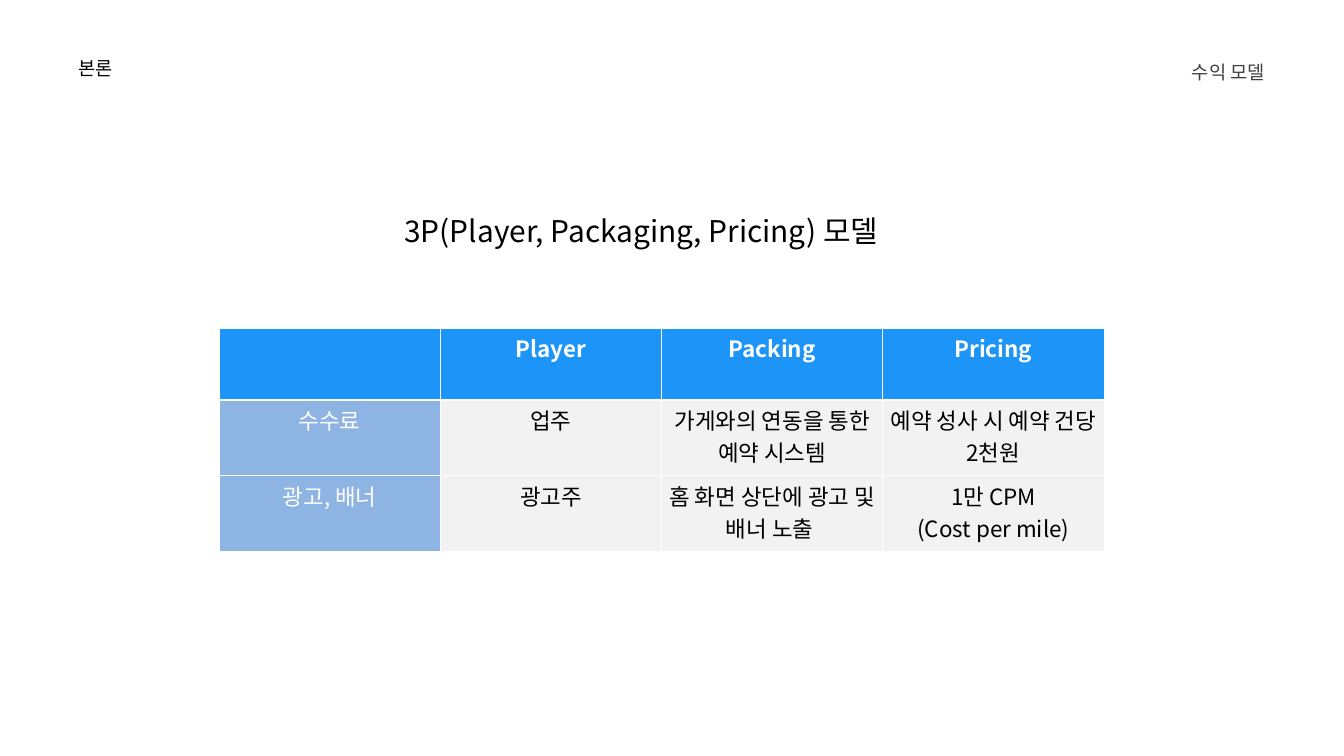
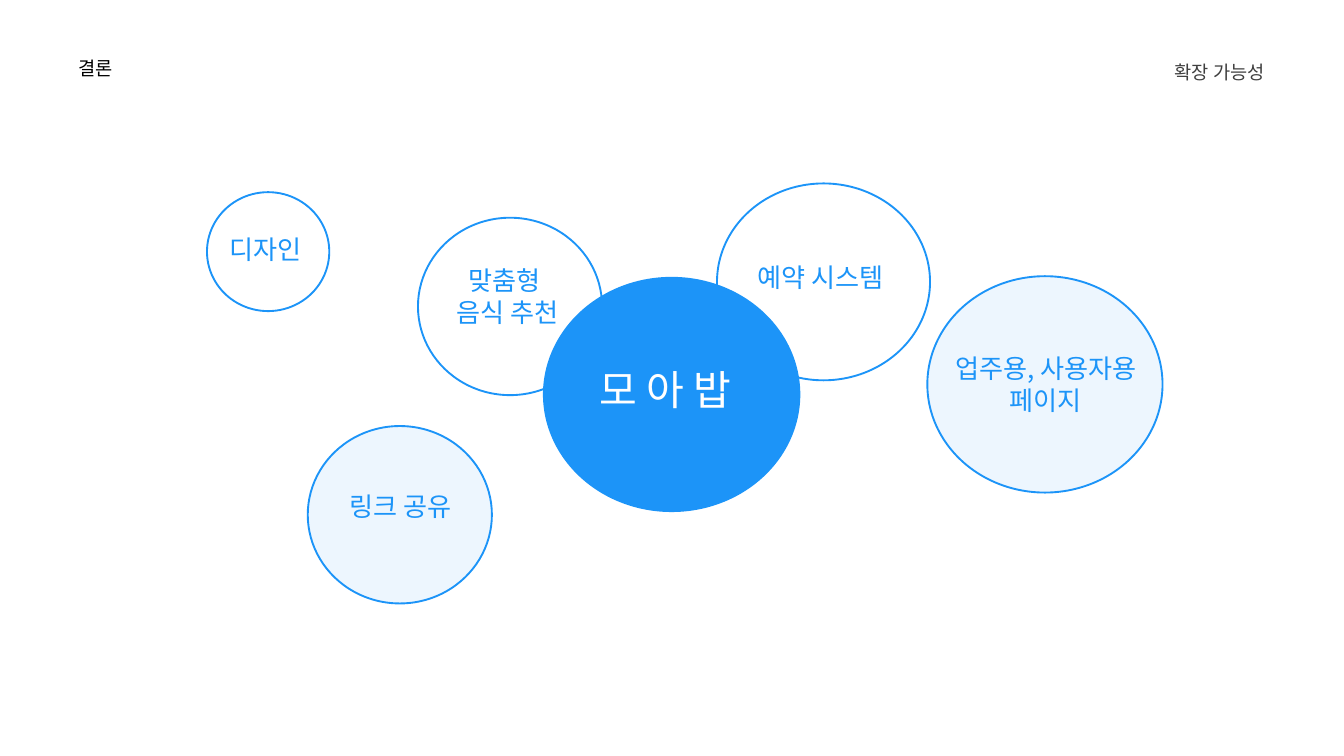
"""Build two slides: a revenue model table and a map of possible extensions."""
import lxml.etree
import pptx
import pptx.dml.color
import pptx.enum.shapes
import pptx.enum.text
import pptx.oxml.ns
import pptx.util

PX = 9144
FONT = "Noto Sans CJK KR"
COLORS = {
    "blue": "1C94F8",
    "soft_blue": "8EB4E3",
    "gray": "F2F2F2",
    "dark": "3F3F3F",
    "black": "000000",
    "white": "FFFFFF",
}
ALIGN = pptx.enum.text.PP_ALIGN
qn = pptx.oxml.ns.qn


def px(*lengths):
    return [length * PX for length in lengths]


def rgb(name):
    return pptx.dml.color.RGBColor.from_string(COLORS[name])


def write(frame, text, size=28, color="blue", bold=False, align=ALIGN.LEFT):
    for index, line in enumerate(text.split("\n")):
        paragraph = frame.add_paragraph() if index else frame.paragraphs[0]
        paragraph.alignment = align
        run = paragraph.add_run()
        run.text = line
        run.font.name = FONT
        run.font.size = pptx.util.Pt(size)
        run.font.bold = bold
        run.font.color.rgb = rgb(color)
        properties = run._r.get_or_add_rPr()
        lxml.etree.SubElement(properties, qn("a:ea"), typeface=FONT)


def add_text(slide, box, text, **style):
    frame = slide.shapes.add_textbox(*px(*box)).text_frame
    frame.word_wrap = True
    frame.auto_size = pptx.enum.text.MSO_AUTO_SIZE.SHAPE_TO_FIT_TEXT
    write(frame, text, **style)


def add_header(slide, section, topic):
    add_text(slide, (107, 79, 332, 44), section, size=20, color="black")
    add_text(slide, (1407, 85, 485, 44), topic, size=20, color="dark", align=ALIGN.RIGHT)


def add_circle(slide, box, opacity=0, outlined=True):
    shape = slide.shapes.add_shape(pptx.enum.shapes.MSO_SHAPE.OVAL, *px(*box))
    shape.shadow.inherit = False
    if opacity:
        shape.fill.solid()
        shape.fill.fore_color.rgb = rgb("blue")
    else:
        shape.fill.background()
    if 0 < opacity < 100:
        color = shape.element.spPr.find(qn("a:solidFill")).find(qn("a:srgbClr"))
        lxml.etree.SubElement(color, qn("a:alpha"), val=str(opacity * 1000))
    if outlined:
        shape.line.color.rgb = rgb("blue")
        shape.line.width = pptx.util.Pt(2)
    else:
        shape.line.fill.background()


def set_borders(cell, **widths):
    properties = cell._tc.get_or_add_tcPr()
    for index, (side, width) in enumerate(widths.items()):
        line = lxml.etree.Element(qn(f"a:ln{side}"), w=str(pptx.util.Pt(width)))
        fill = lxml.etree.SubElement(line, qn("a:solidFill"))
        lxml.etree.SubElement(fill, qn("a:srgbClr"), val=COLORS["white"])
        properties.insert(index, line)


def add_table(slide, box, row_heights, rows):
    table = slide.shapes.add_table(len(rows), len(rows[0]), *px(*box)).table
    for row, height in zip(table.rows, row_heights):
        row.height = height * PX
    for row_index, texts in enumerate(rows):
        for column_index, text in enumerate(texts):
            cell = table.cell(row_index, column_index)
            is_header = row_index == 0
            is_label = column_index == 0
            fill = "blue" if is_header else "soft_blue" if is_label else "gray"
            cell.fill.solid()
            cell.fill.fore_color.rgb = rgb(fill)
            set_borders(cell, L=1, R=1, T=3 if row_index == 1 else 1, B=3 if is_header else 1)
            if text:
                color = "white" if is_header or is_label else "black"
                write(cell.text_frame, text, size=24, color=color, bold=is_header,
                      align=ALIGN.CENTER)


def build_revenue_model(slide):
    add_header(slide, "본론", "수익 모델")
    add_table(slide, (326, 488, 1317, 333), (107, 113, 113), [
        ["", "Player", "Packing", "Pricing"],
        ["수수료", "업주", "가게와의 연동을 통한 예약 시스템", "예약 성사 시 예약 건당 2천원"],
        ["광고, 배너", "광고주", "홈 화면 상단에 광고 및 배너 노출 ", "1만 CPM\n(Cost per mile)"],
    ])
    add_text(slide, (592, 312, 867, 64), "3P(Player, Packaging, Pricing) 모델",
             size=32, color="black")


def build_extensions(slide):
    add_circle(slide, (1067, 273, 317, 293))
    add_header(slide, "결론", "확장 가능성")
    add_circle(slide, (808, 412, 383, 350), opacity=100, outlined=False)
    add_text(slide, (883, 538, 267, 84), "모 아 밥", size=44, color="white")
    add_text(slide, (1117, 384, 267, 57), "예약 시스템")
    features = [
        ((622, 324, 274, 264), 0, (622, 389, 267, 104), "맞춤형 \n음식 추천"),
        ((458, 634, 274, 264), 8, (462, 725, 267, 57), "링크 공유"),
        ((1380, 411, 350, 322), 8, (1391, 520, 331, 104), "업주용, 사용자용 페이지"),
        ((308, 286, 182, 177), 0, (266, 342, 267, 57), "디자인 "),
    ]
    for circle, opacity, box, text in features:
        add_circle(slide, circle, opacity)
        add_text(slide, box, text, align=ALIGN.CENTER)


def main():
    presentation = pptx.Presentation()
    presentation.slide_width, presentation.slide_height = px(2000, 1125)
    for build in (build_revenue_model, build_extensions):
        build(presentation.slides.add_slide(presentation.slide_layouts[6]))
    presentation.save("out.pptx")


if __name__ == "__main__":
    main()
